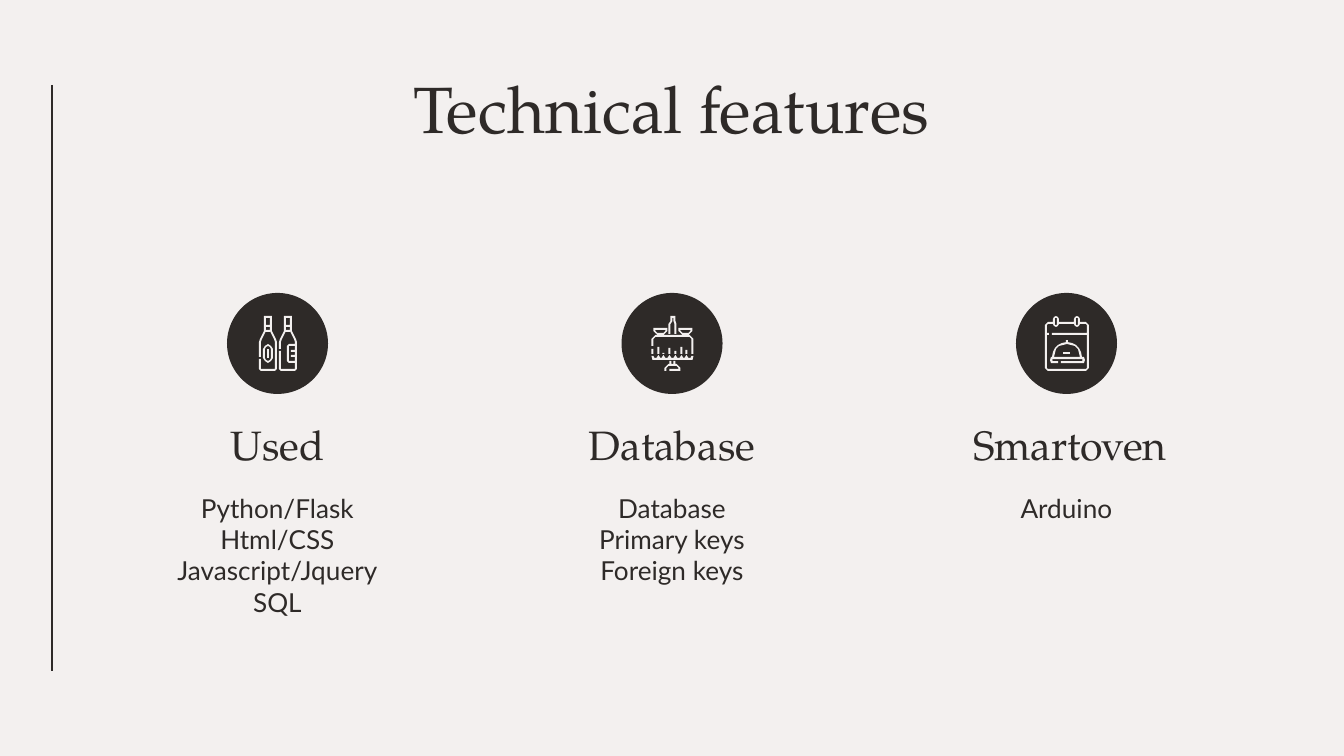
from math import cos, hypot, pi, sin

from lxml import etree
from pptx import Presentation
from pptx.dml.color import RGBColor
from pptx.enum.shapes import MSO_CONNECTOR, MSO_SHAPE
from pptx.enum.text import MSO_ANCHOR, MSO_AUTO_SIZE, PP_ALIGN
from pptx.oxml.ns import qn
from pptx.util import Pt

STRAIGHT, OVAL = MSO_CONNECTOR.STRAIGHT, MSO_SHAPE.OVAL
TOP, MIDDLE = MSO_ANCHOR.TOP, MSO_ANCHOR.MIDDLE
CENTER, NO_FIT = PP_ALIGN.CENTER, MSO_AUTO_SIZE.NONE
DARK = RGBColor(0x2E, 0x2A, 0x28)
LIGHT = RGBColor(0xF3, 0xF0, 0xEF)
SERIF, SANS = "TeX Gyre Pagella", "Lato"
EMU_PER_PX = 914400 / 134.4
HALF_STROKE = 0.85
PITCH = 394.5


def px(n):
    return round(n * EMU_PER_PX)


def arc(cx, cy, rx, ry, start, end, steps=4):
    angles = [start + (end - start) * i / steps for i in range(steps + 1)]
    return [(cx + rx * cos(a), cy + ry * sin(a)) for a in angles]


def pill(left, top, right, bottom):
    r, cx = (right - left) / 2, (left + right) / 2
    ends = arc(cx, top + r, r, r, pi, 2 * pi) + arc(cx, bottom - r, r, r, 0, pi)
    return ends + ends[:1]


def shift(points, dx):
    return [(x + dx, y) for x, y in points]


def bottle(dx, gap):
    outline = [(33, gap + 1), (33, 76), (34, 77), (48, 77), (49, 76), (49, 49), (48, 46),
               (44, 38), (44, 24), (38, 24), (38, 38), (34, 46), (33, 49), (33, gap - 1)]
    return [shift(s, dx) for s in (outline, [(39, 33), (43, 33)], [(39, 38), (43, 38)])]


LABEL = [
    [(68, 52), (62, 52), (61, 53), (61, 68), (62, 69), (68, 69)],
    [(64, 58), (68, 58)],
    [(64, 63), (68, 63)],
]
BOTTLES = [bottle(0, 65), bottle(20, 57) + LABEL, [pill(37, 52, 45, 69)], [[(41, 56), (41, 65)]]]

BOWL = [(39, 36), (45, 36), (45, 38), (42, 41), (36, 41), (33, 38), (33, 36), (39, 36)]
FOLDS = [(31, 56), (37, 54), (42, 60), (48, 55), (54, 58), (60, 54), (65, 57)]
FOLD_XS = [x for x, _ in FOLDS] + [71]
HEM = [(31, 63)] + [p for a, b in zip(FOLD_XS, FOLD_XS[1:])
                    for p in ((a + 1, 66), (b - 1, 66), (b, 63))]
TABLE = [[
    [(48, 41), (48, 31), (50, 28), (50, 24), (53, 24), (53, 28), (54, 31), (54, 41)],
    BOWL,
    shift(BOWL, 25),
    [(31, 53), (31, 46), (34, 43), (68, 43), (71, 46), (71, 61)],
    HEM,
    [(49, 68), (49, 71)],
    [(53, 68), (53, 71)],
    [(48, 77), (58, 77), (58, 75), (55, 72), (47, 72), (44, 75), (44, 77), (45, 77)],
] + [[(x, y), (x, 61)] for x, y in FOLDS]]

RING = pill(38, 24, 42, 33)
DOME = [
    arc(51, 64, 14, 14, pi, 2 * pi, 10),
    [(51, 47), (51, 49)],
    [(45, 69), (67, 69), (68, 67), (67, 65), (36, 65), (35, 67), (36, 69), (42, 69)],
]
PAGE = [
    [(37, 30), (32, 30), (30, 32), (30, 75), (32, 77), (70, 77), (72, 75), (72, 32),
     (70, 30), (64, 30)],
    [(43, 30), (58, 30)],
    RING,
    shift(RING, 21),
    [(31, 41), (33, 41)],
    [(36, 41), (71, 41)],
]
CALENDAR = [DOME, [[(47, 60), (54, 60)]], PAGE]

TITLE = "Technical features"
FEATURES = [
    ("Used", ["Python/Flask", "Html/CSS", "Javascript/Jquery", "SQL"], BOTTLES, 343, 148),
    ("Database", ["Database", "Primary keys", "Foreign keys"], TABLE, 343, 148),
    ("Smartoven", ["Arduino"], CALENDAR, 350, 105),
]


def set_text(s, box, lines, size, font, anchor):
    s.left, s.top, s.width, s.height = map(px, box)
    tf = s.text_frame
    tf.text = "\n".join(lines)
    tf.word_wrap = True
    tf.auto_size = NO_FIT
    tf.vertical_anchor = anchor
    tf.margin_left = tf.margin_right = tf.margin_top = tf.margin_bottom = px(13)
    for p in tf.paragraphs:
        p.alignment = CENTER
        for r in p.runs:
            r.font.size = Pt(size)
            r.font.name = font
            r.font.color.rgb = DARK


def add_text(box, *style):
    set_text(shapes.add_textbox(*map(px, box)), box, *style)


def fill_light(s, color):
    s.shadow.inherit = False
    s.fill.solid()
    s.fill.fore_color.rgb = color
    s.line.fill.background()


def stroke_outline(points):
    normals = []
    for (x1, y1), (x2, y2) in zip(points, points[1:]):
        length = hypot(x2 - x1, y2 - y1)
        normals.append(((y1 - y2) / length, (x2 - x1) / length))
    near, far = [], []
    for (x, y), a, b in zip(points, normals[:1] + normals, normals + normals[-1:]):
        nx, ny = a[0] + b[0], a[1] + b[1]
        reach = HALF_STROKE * 2 / max(nx * nx + ny * ny, 1)
        near.append((x + nx * reach, y + ny * reach))
        far.append((x - nx * reach, y - ny * reach))
    return near + far[::-1]


def add_part(target, strokes, left, top):
    outlines = [stroke_outline(points) for points in strokes]
    builder = target.build_freeform(*outlines[0][0], scale=EMU_PER_PX)
    for i, outline in enumerate(outlines):
        if i:
            builder.move_to(*outline[0])
        builder.add_line_segments(outline[1:], close=True)
    fill_light(builder.convert_to_shape(px(left), px(top)), LIGHT)


prs = Presentation()
prs.slide_width, prs.slide_height = px(1344), px(756)
slide = prs.slides.add_slide(prs.slide_layouts[5])
shapes = slide.shapes
slide.background.fill.solid()
slide.background.fill.fore_color.rgb = LIGHT

rule = shapes.add_connector(STRAIGHT, px(52), px(85), px(52), px(671))
rule.line.color.rgb = DARK
rule.line.width = Pt(0.75)
etree.SubElement(rule._element.spPr, qn("a:effectLst"))

set_text(shapes.title, (105, 65, 1133, 85), [TITLE], 35, SERIF, MIDDLE)

for i, (heading, items, icon, heading_width, items_height) in enumerate(FEATURES):
    text_left, icon_left, icon_top = 106 + i * PITCH, 227 + i * PITCH, 293
    add_text((text_left, 405, heading_width, 78), [heading], 22, SERIF, MIDDLE)
    add_text((text_left, 479, 343, items_height), items, 14, SANS, TOP)
    disc = shapes.add_shape(OVAL, px(icon_left), px(icon_top), px(101), px(101))
    fill_light(disc, DARK)
    target = shapes.add_group_shape().shapes if len(icon) > 1 else shapes
    for strokes in icon:
        add_part(target, strokes, icon_left, icon_top)

prs.save("out.pptx")
